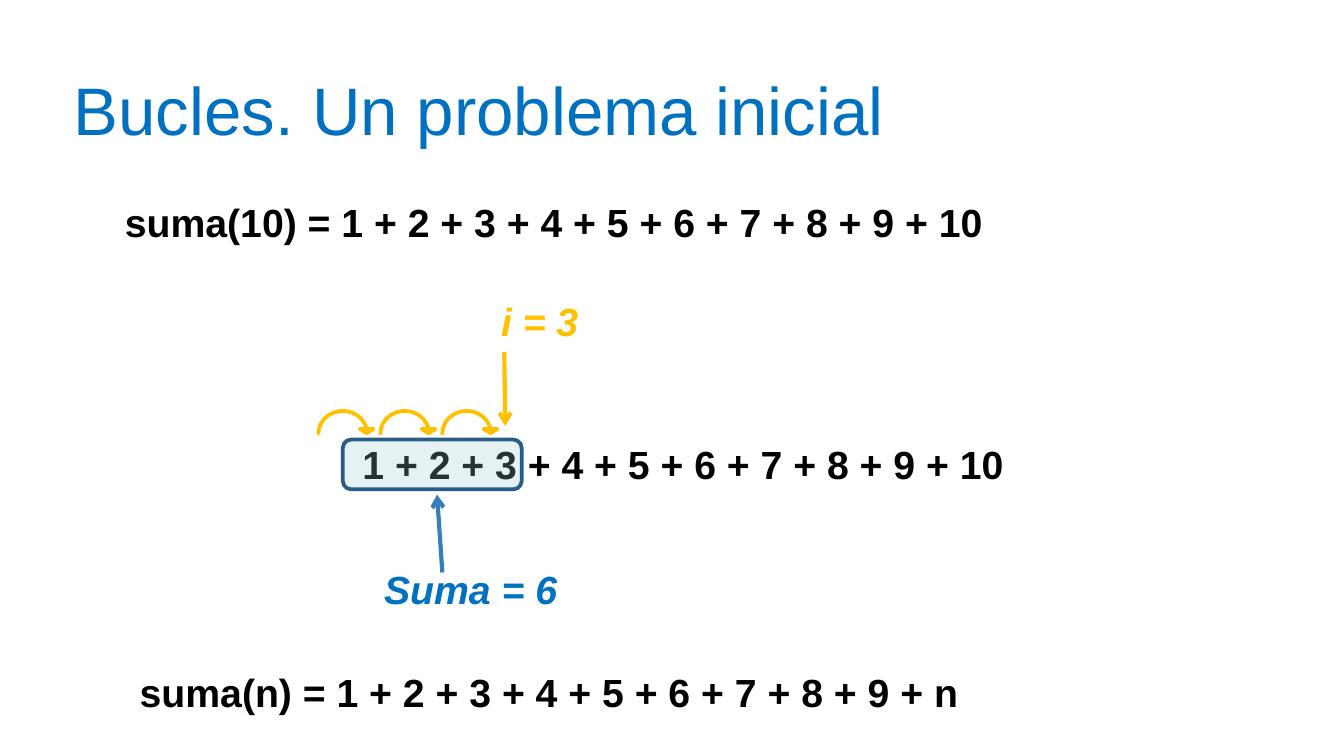
from math import cos, pi, sin

from lxml import etree
from pptx import Presentation
from pptx import util as u
from pptx.dml.color import RGBColor
from pptx.enum import shapes, text
from pptx.oxml import ns

COLORS = {
    "title": "0070C0", "ink": "000000", "index": "FFC000",
    "sum": "0070C0", "sum_arrow": "357EB9",
    "highlight": "9ACAD3", "highlight_edge": "285D88",
}
FORMATS = {
    "title": {"size": u.Pt(36)},
    "ink": {"size": u.Pt(21), "bold": True},
    "index": {"size": u.Pt(21), "bold": True, "italic": True},
    "sum": {"size": u.Pt(21), "bold": True, "italic": True},
}


def rgb(role):
    """Return the colour of a role."""
    return RGBColor.from_string(COLORS[role])


def series(last):
    """Return the sum of 1 to 9 and a last term as text."""
    return " + ".join([*map(str, range(1, 10)), last])


def add_label(slide, box, wording, role, wrap=False):
    """Place one line of text in the given box."""
    frame = slide.shapes.add_textbox(*map(u.Cm, box)).text_frame
    frame.word_wrap = wrap
    frame.auto_size = text.MSO_AUTO_SIZE.NONE
    run = frame.paragraphs[0].add_run()
    run.text = wording
    run.font.name = "Arial"
    run.font.color.rgb = rgb(role)
    for name, value in FORMATS[role].items():
        setattr(run.font, name, value)


def add_pointer(slide, start, end, role):
    """Draw a straight line with an open arrowhead at its end."""
    pointer = slide.shapes.add_connector(
        shapes.MSO_CONNECTOR.STRAIGHT, *map(u.Cm, (*start, *end)))
    pointer.line.color.rgb = rgb(role)
    pointer.line.width = u.Pt(2.25)
    outline = pointer.line._get_or_add_ln()
    etree.SubElement(outline, ns.qn("a:tailEnd"), type="arrow")
    etree.SubElement(pointer._element.spPr, ns.qn("a:effectLst"))


def add_hop(slide, left, top):
    """Draw a curved arrow that hops onto the next term."""
    radius_x, radius_y = 0.46, 0.43
    angles = [pi - step * 0.95 * pi / 24 for step in range(25)]
    arc = [(left + radius_x * (1 + cos(a)), top + radius_y * (1 - sin(a)))
           for a in angles]
    head = [(left + x, top + y)
            for x, y in ((0.92, 0.34), (1.04, 0.34), (0.91, 0.42), (0.78, 0.34), (0.92, 0.34))]
    points = [(u.Cm(x), u.Cm(y)) for x, y in arc + head + arc[::-1]]
    builder = slide.shapes.build_freeform(*points[0])
    builder.add_line_segments(points[1:], close=True)
    hop = builder.convert_to_shape()
    hop.shadow.inherit = False
    hop.fill.solid()
    hop.fill.fore_color.rgb = rgb("index")
    hop.line.color.rgb = rgb("index")
    hop.line.width = u.Pt(2)


def add_highlight(slide, box):
    """Frame the terms already added with a see-through box."""
    frame = slide.shapes.add_shape(
        shapes.MSO_SHAPE.ROUNDED_RECTANGLE, *map(u.Cm, box))
    frame.adjustments[0] = 0.167
    frame.shadow.inherit = False
    frame.fill.solid()
    frame.fill.fore_color.rgb = rgb("highlight")
    tint = frame._element.spPr.find(ns.qn("a:solidFill"))[0]
    etree.SubElement(tint, ns.qn("a:alpha"), val="25000")
    frame.line.color.rgb = rgb("highlight_edge")
    frame.line.width = u.Pt(2)


def add_loop_diagram(slide, left, top):
    """Show the state of the loop at its third step."""
    add_label(slide, (left + 3.2, top, 1.96, 1.14), "i = 3", "index")
    add_label(slide, (left + 0.99, top + 5.08, 3.78, 1.14), "Suma = 6", "sum")
    add_label(slide, (left + 0.58, top + 2.71, 12.62, 1.14), series("10"), "ink")
    add_highlight(slide, (left + 0.46, top + 2.82, 3.38, 0.94))
    for step in range(3):
        add_hop(slide, left + 1.17 * step, top + 2.28)
    add_pointer(slide, (left + 3.51, top + 1.16), (left + 3.53, top + 2.56), "index")
    add_pointer(slide, (left + 2.34, top + 5.33), (left + 2.24, top + 3.86), "sum_arrow")


def main():
    """Build and save the slide."""
    deck = Presentation()
    deck.slide_width, deck.slide_height = u.Cm(25.4), u.Cm(14.29)
    slide = deck.slides.add_slide(deck.slide_layouts[6])
    add_label(slide, (1.14, 1.17, 15.98, 1.78), "Bucles. Un problema inicial", "title", True)
    add_label(slide, (2.11, 3.63, 21.29, 1.14), "suma(10) = " + series("10"), "ink", True)
    add_loop_diagram(slide, 6.02, 5.49)
    add_label(slide, (2.39, 12.5, 21.29, 1.14), "suma(n) = " + series("n"), "ink", True)
    deck.save("out.pptx")


if __name__ == "__main__":
    main()
